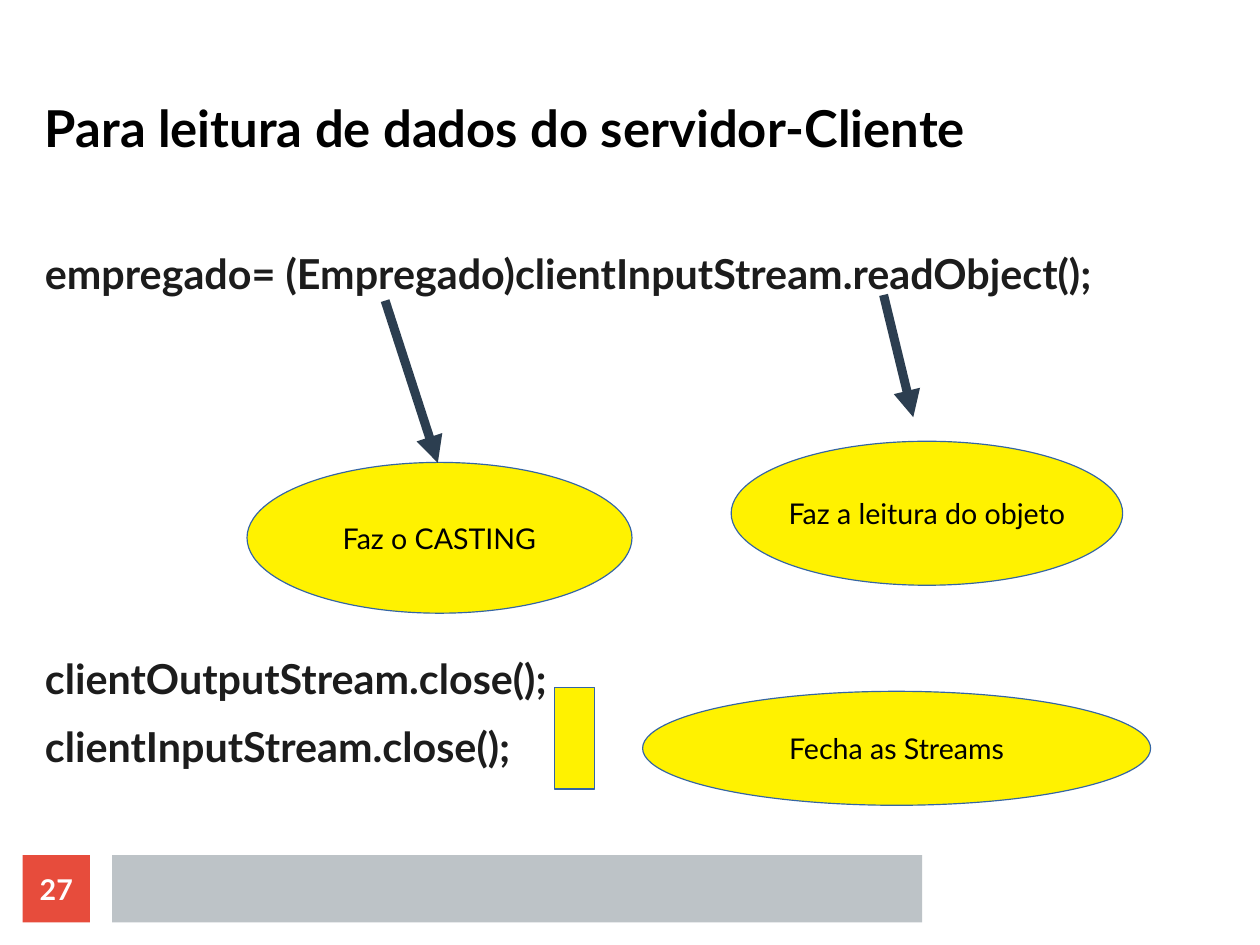
from lxml.etree import SubElement
from pptx import Presentation
from pptx.dml.color import RGBColor
from pptx.enum.shapes import MSO_CONNECTOR as Connector, MSO_SHAPE as Preset
from pptx.enum.text import MSO_ANCHOR as Anchor, PP_ALIGN as Align
from pptx.oxml.ns import qn
from pptx.util import Pt

PAGE_SIZE = (793.7, 595.3)
YELLOW, OUTLINE, ARROW = "FFF200", "3465A4", "2C3E50"
FOOTER_TOP, FOOTER_HEIGHT = 538.6, 42.5

TITLE_FORMAT = {"size": Pt(32), "bold": True}
CODE_FORMAT = {"size": Pt(26), "bold": True}
NOTE_FORMAT = {"size": Pt(18), "bold": False}
BADGE_FORMAT = {"size": Pt(18), "bold": True}

CODE_LEFT, CODE_TOP, CODE_WIDTH = 28.3, 156.2, 723
CODE_GAP, CODE_PITCH = 11.4, 42.6
CODE_BLOCKS = [
    (0, ["empregado= (Empregado)clientInputStream.readObject();"]),
    (6, ["clientOutputStream.close();", "clientInputStream.close();"]),
]
NOTES = [
    ("Faz a leitura do objeto", (460.6, 278, 246.6, 90.7)),
    ("Faz o CASTING", (155.6, 291.3, 242.5, 95)),
    ("Fecha as Streams", (404.8, 435.5, 320, 71.8)),
]
ARROWS = [(556.6, 185.8, 575.3, 262.8), (242.6, 189.4, 275.8, 291.6)]
BRACE = (349.2, 433.1, 25.5, 64)


def color(value):
    return RGBColor.from_string(value)


def write(shape, lines, style, ink, align=Align.LEFT, anchor=Anchor.TOP,
          margins=(0, 0), wrap=True, gap=0):
    frame = shape.text_frame
    side, edge = map(Pt, margins)
    settings = {"word_wrap": wrap, "vertical_anchor": anchor,
                "margin_left": side, "margin_right": side,
                "margin_top": edge, "margin_bottom": edge}
    for name, value in settings.items():
        setattr(frame, name, value)
    for index, line in enumerate(lines):
        para = frame.add_paragraph() if index else frame.paragraphs[0]
        para.alignment, para.space_after = align, Pt(gap)
        span = para.add_run()
        span.text = line
        for name, value in {"name": "Lato", **style}.items():
            setattr(span.font, name, value)
        span.font.color.rgb = color(ink)


def add_filled(page, preset, place, fill, outline=None):
    shape = page.shapes.add_shape(preset, *map(Pt, place))
    shape.shadow.inherit = False
    shape.fill.solid()
    shape.fill.fore_color.rgb = color(fill)
    if outline:
        shape.line.color.rgb = color(outline)
        shape.line.width = Pt(0)
    else:
        shape.line.fill.background()
    return shape


def add_text(page, place, lines, style, ink, **options):
    box = page.shapes.add_textbox(*map(Pt, place))
    write(box, lines, style, ink, **options)


def add_arrow(page, ends):
    arrow = page.shapes.add_connector(Connector.STRAIGHT, *map(Pt, ends))
    arrow.line.color.rgb = color(ARROW)
    arrow.line.width = Pt(5.67)
    SubElement(arrow.line._get_or_add_ln(), qn("a:tailEnd"), type="triangle")
    SubElement(arrow._element.spPr, qn("a:effectLst"))


def main():
    deck = Presentation()
    deck.slide_width, deck.slide_height = map(Pt, PAGE_SIZE)
    page = deck.slides.add_slide(deck.slide_layouts[6])

    add_filled(page, Preset.RECTANGLE,
               (70.6, FOOTER_TOP, 510.3, FOOTER_HEIGHT), "BDC3C7")
    badge = add_filled(page, Preset.RECTANGLE,
                       (14.2, FOOTER_TOP, FOOTER_HEIGHT, FOOTER_HEIGHT), "E74C3C")
    write(badge, ["27"], BADGE_FORMAT, "FFFFFF",
          align=Align.CENTER, anchor=Anchor.MIDDLE)

    add_text(page, (CODE_LEFT, 28.3, 737, 70.9),
             ["Para leitura de dados do servidor-Cliente"],
             TITLE_FORMAT, "000000", anchor=Anchor.BOTTOM)
    for row, lines in CODE_BLOCKS:
        place = (CODE_LEFT, CODE_TOP + row * CODE_PITCH,
                 CODE_WIDTH, len(lines) * CODE_PITCH)
        add_text(page, place, lines, CODE_FORMAT, "1C1C1C", gap=CODE_GAP)

    for label, place in NOTES:
        note = add_filled(page, Preset.OVAL, place, YELLOW, OUTLINE)
        write(note, [label], NOTE_FORMAT, "000000", align=Align.CENTER,
              anchor=Anchor.MIDDLE, margins=(7.2, 3.6), wrap=False)
    for ends in ARROWS:
        add_arrow(page, ends)
    add_filled(page, Preset.RECTANGLE, BRACE, YELLOW, OUTLINE)

    deck.save("out.pptx")


if __name__ == "__main__":
    main()
